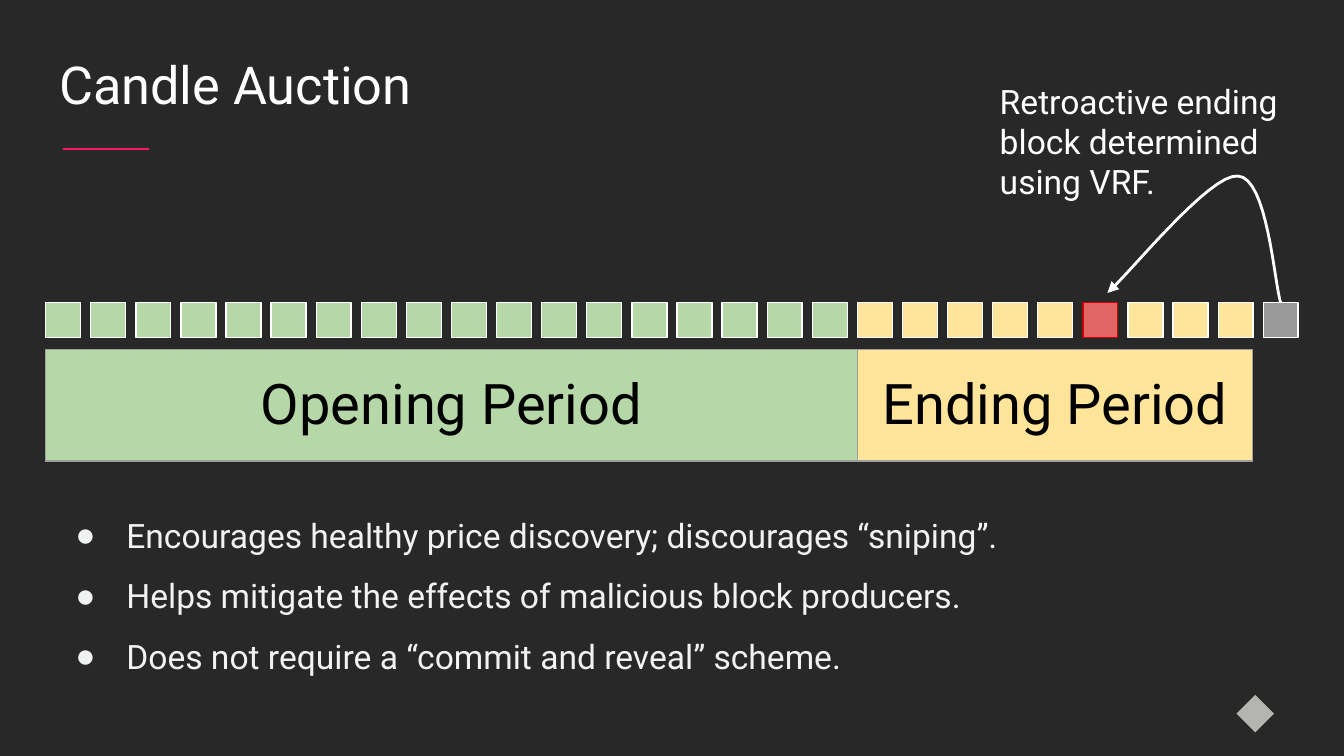
from lxml.etree import SubElement
from pptx import Presentation
from pptx.dml.color import RGBColor
from pptx.enum.shapes import MSO_CONNECTOR, MSO_SHAPE
from pptx.enum.text import MSO_ANCHOR, MSO_AUTO_SIZE, PP_ALIGN
from pptx.oxml import parse_xml
from pptx.oxml.ns import nsdecls, qn
from pptx.util import Inches, Pt

FONT = "Roboto"
BULLET_FONT = "Arial"
BACKGROUND = RGBColor(0x28, 0x28, 0x28)
WHITE = RGBColor(0xFF, 0xFF, 0xFF)
BLACK = RGBColor(0x00, 0x00, 0x00)
OFF_WHITE = RGBColor(0xF1, 0xF3, 0xF2)
PINK = RGBColor(0xFF, 0x18, 0x64)
GREEN = RGBColor(0xB6, 0xD7, 0xA8)
YELLOW = RGBColor(0xFF, 0xE5, 0x99)
RED = RGBColor(0xE0, 0x66, 0x66)
DARK_RED = RGBColor(0xCC, 0x00, 0x00)
GRAY = RGBColor(0x99, 0x99, 0x99)
BORDER_GRAY = RGBColor(0x9E, 0x9E, 0x9E)
MARK_GRAY = RGBColor(0xB4, 0xB5, 0xB1)

OPENING_BLOCKS = 18
ENDING_BLOCKS = 9
WINNING_BLOCK = 23
BLOCK_SIZE = 0.26
BLOCK_COUNT = OPENING_BLOCKS + ENDING_BLOCKS
BULLETS = [
    "Encourages healthy price discovery; discourages “sniping”.",
    "Helps mitigate the effects of malicious block producers.",
    "Does not require a “commit and reveal” scheme.",
]


def place(shape, left, top, width, height):
    shape.left, shape.top = Inches(left), Inches(top)
    shape.width, shape.height = Inches(width), Inches(height)


def prepare_frame(frame):
    frame.word_wrap = True
    frame.auto_size = MSO_AUTO_SIZE.NONE
    frame.vertical_anchor = MSO_ANCHOR.TOP
    frame.margin_left = frame.margin_right = Inches(0.1)
    frame.margin_top = frame.margin_bottom = Inches(0.1)


def write(paragraph, text, size, color, align=PP_ALIGN.LEFT):
    paragraph.alignment = align
    run = paragraph.add_run()
    run.text = text
    run.font.name = FONT
    run.font.size = Pt(size)
    run.font.color.rgb = color


def add_bullet(paragraph, color):
    properties = paragraph._p.get_or_add_pPr()
    properties.set("marL", str(Inches(0.5)))
    properties.set("indent", str(Inches(-0.38)))
    bullet_color = SubElement(properties, qn("a:buClr"))
    SubElement(bullet_color, qn("a:srgbClr"), val=str(color))
    SubElement(properties, qn("a:buFont"), typeface=BULLET_FONT)
    SubElement(properties, qn("a:buChar"), char="●")


def add_filled(slide, kind, left, top, size, fill, line=None):
    shape = slide.shapes.add_shape(
        kind, Inches(left), Inches(top), Inches(size), Inches(size))
    shape.shadow.inherit = False
    shape.fill.solid()
    shape.fill.fore_color.rgb = fill
    if line is None:
        shape.line.fill.background()
    else:
        shape.line.color.rgb = line
        shape.line.width = Pt(0.75)


def add_heading(slide, left, top, width, height):
    title = slide.shapes.title
    place(title, left, top, width, height)
    prepare_frame(title.text_frame)
    write(title.text_frame.paragraphs[0], "Candle Auction", 28, WHITE)
    rule_left, rule_top = Inches(left + 0.13), Inches(top + 0.82)
    rule = slide.shapes.add_connector(
        MSO_CONNECTOR.STRAIGHT, rule_left, rule_top,
        rule_left + Inches(0.64), rule_top)
    rule.line.color.rgb = PINK
    rule.line.width = Pt(0.75)
    SubElement(rule._element.spPr, qn("a:effectLst"))


def set_borders(cell, color):
    properties = cell._tc.get_or_add_tcPr()
    for position, side in enumerate(("lnL", "lnR", "lnT", "lnB")):
        properties.insert(position, parse_xml(
            f'<a:{side} {nsdecls("a")} w="{Pt(0.75)}"><a:solidFill>'
            f'<a:srgbClr val="{color}"/></a:solidFill></a:{side}>'))


def add_periods(slide, left, top, widths, height):
    frame = slide.shapes.add_table(
        1, 2, Inches(left), Inches(top), Inches(sum(widths)), Inches(height))
    table = frame.table
    table.first_row = table.horz_banding = False
    table.rows[0].height = Inches(height)
    periods = [("Opening Period", GREEN), ("Ending Period", YELLOW)]
    for column, (text, fill) in enumerate(periods):
        table.columns[column].width = Inches(widths[column])
        cell = table.cell(0, column)
        cell.fill.solid()
        cell.fill.fore_color.rgb = fill
        cell.vertical_anchor = MSO_ANCHOR.MIDDLE
        cell.margin_left = cell.margin_right = Inches(0.1)
        cell.margin_top = cell.margin_bottom = Inches(0.1)
        write(cell.text_frame.paragraphs[0], text, 30, BLACK, PP_ALIGN.CENTER)
        set_borders(cell, BORDER_GRAY)


def add_blocks(slide, left, top, width):
    pitch = (width - BLOCK_SIZE) / BLOCK_COUNT
    for index in range(BLOCK_COUNT + 1):
        fill, line = YELLOW, WHITE
        if index < OPENING_BLOCKS:
            fill = GREEN
        elif index == WINNING_BLOCK:
            fill, line = RED, DARK_RED
        elif index == BLOCK_COUNT:
            fill = GRAY
        add_filled(slide, MSO_SHAPE.RECTANGLE, left + index * pitch, top,
                   BLOCK_SIZE, fill, line)


def bezier_point(controls, t):
    weights = ((1 - t) ** 3, 3 * t * (1 - t) ** 2, 3 * t ** 2 * (1 - t), t ** 3)
    return tuple(
        Inches(sum(weight * point[axis] for weight, point in zip(weights, controls)))
        for axis in (0, 1))


def add_curved_arrow(slide, left, top, steps=16):
    offsets = [(1.29, 0.96), (1.24, 0.8), (1.19, 0.02), (0.97, 0.01),
               (0.76, -0.01), (0.16, 0.74), (0, 0.88)]
    controls = [(left + x, top + y) for x, y in offsets]
    points = [bezier_point(controls[first:first + 4], step / steps)
              for first in (0, 3) for step in range(1, steps + 1)]
    start_x, start_y = bezier_point(controls[:4], 0)
    builder = slide.shapes.build_freeform(start_x, start_y)
    builder.add_line_segments(points, close=False)
    arrow = builder.convert_to_shape()
    arrow.shadow.inherit = False
    arrow.fill.background()
    arrow.line.color.rgb = WHITE
    arrow.line.width = Pt(1.5)
    SubElement(arrow.line._get_or_add_ln(), qn("a:tailEnd"), type="triangle")


def add_note(slide, left, top, width, height):
    note = slide.shapes.add_textbox(
        Inches(left), Inches(top), Inches(width), Inches(height))
    prepare_frame(note.text_frame)
    write(note.text_frame.paragraphs[0],
          "Retroactive ending block determined using VRF.", 18, WHITE)


def add_benefits(slide, left, top, width, height):
    body = slide.placeholders[1]
    place(body, left, top, width, height)
    frame = body.text_frame
    prepare_frame(frame)
    for index, text in enumerate(BULLETS):
        paragraph = frame.add_paragraph() if index else frame.paragraphs[0]
        add_bullet(paragraph, OFF_WHITE)
        paragraph.line_spacing = 1.5
        paragraph.space_before = Pt(0)
        write(paragraph, text, 18, OFF_WHITE)


def main():
    presentation = Presentation()
    presentation.slide_width = Inches(10)
    presentation.slide_height = Inches(10) * 9 // 16
    slide = presentation.slides.add_slide(presentation.slide_layouts[1])
    slide.background.fill.solid()
    slide.background.fill.fore_color.rgb = BACKGROUND
    add_heading(slide, 0.34, 0.29, 9.32, 0.63)
    add_periods(slide, 0.34, 2.6, (6.04, 2.94), 0.83)
    add_curved_arrow(slide, 8.24, 1.3)
    add_blocks(slide, 0.34, 2.25, 9.32)
    add_note(slide, 7.34, 0.5, 2.38, 0.63)
    add_benefits(slide, 0.34, 3.58, 9.32, 1.22)
    add_filled(slide, MSO_SHAPE.DIAMOND, 9.2, 5.17, 0.28, MARK_GRAY)
    presentation.save("out.pptx")


if __name__ == "__main__":
    main()
